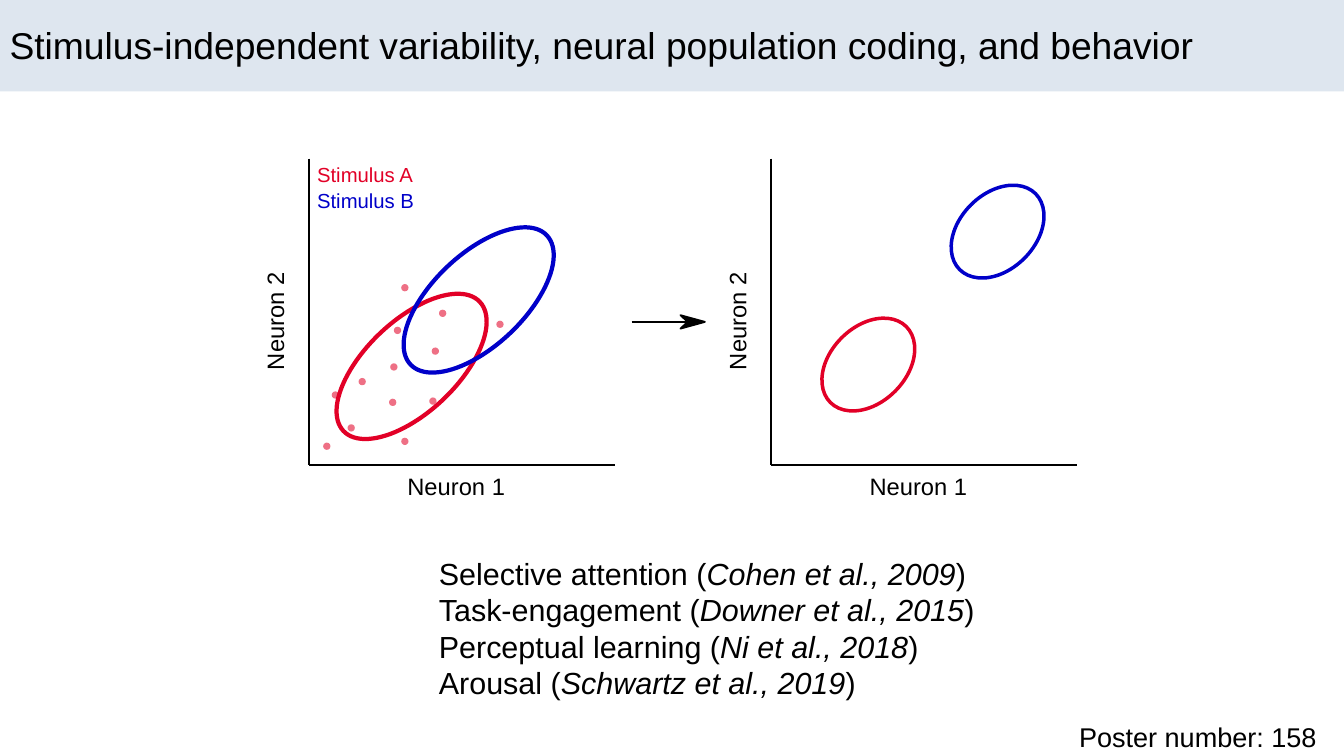
from dataclasses import dataclass

from lxml import etree
from pptx import Presentation
from pptx.dml.color import RGBColor
from pptx.enum.shapes import MSO_CONNECTOR, MSO_SHAPE
from pptx.oxml.ns import qn
from pptx.util import Inches, Pt

RECT, OVAL = MSO_SHAPE.RECTANGLE, MSO_SHAPE.OVAL
STRAIGHT = MSO_CONNECTOR.STRAIGHT


@dataclass(frozen=True)
class Theme:
    font: str = "Arial"
    ink: str = "000000"
    banner: str = "DEE6EF"
    stimulus_a: str = "E20027"
    stimulus_b: str = "0000C9"
    title: int = 22
    body: int = 18
    footer: int = 16
    axis: int = 14
    legend: int = 12


THEME = Theme()
SLIDE_W, SLIDE_H = 11.02, 6.2
AXIS_LENGTH = 2.51
DOT_SIZE = 0.06
DOT_OPACITY = 56

# Top left corners of single responses, measured from the plot's corner
RESPONSES = [
    (0.99, 1.96), (0.70, 1.38), (1.07, 1.24), (0.12, 2.33), (1.54, 1.33),
    (0.67, 1.68), (1.01, 1.55), (0.32, 2.18), (0.76, 2.29), (0.41, 1.80),
    (0.66, 1.97), (0.76, 1.03), (0.19, 1.91),
]
STUDIES = [
    ("Selective attention", "Cohen et al., 2009"),
    ("Task-engagement", "Downer et al., 2015"),
    ("Perceptual learning", "Ni et al., 2018"),
    ("Arousal", "Schwartz et al., 2019"),
]


def rgb(color):
    return RGBColor.from_string(color)


def add_text(slide, box, paragraphs, size, color=THEME.ink, inset=(0, 0), rotation=0):
    """Each paragraph is a list of (text, italic) runs."""
    holder = slide.shapes.add_textbox(*map(Inches, box))
    holder.rotation = rotation
    frame = holder.text_frame
    frame.word_wrap = True
    frame.margin_left = frame.margin_right = Inches(inset[0])
    frame.margin_top = frame.margin_bottom = Inches(inset[1])
    for index, runs in enumerate(paragraphs):
        paragraph = frame.paragraphs[0] if index == 0 else frame.add_paragraph()
        paragraph.font.name = THEME.font
        paragraph.font.size = Pt(size)
        paragraph.font.color.rgb = rgb(color)
        for text, italic in runs:
            run = paragraph.add_run()
            run.text = text
            # Runs carry the style too, so mixed italics stay uniform
            run.font.name = THEME.font
            run.font.size = Pt(size)
            run.font.color.rgb = rgb(color)
            if italic:
                run.font.italic = True


def add_line(slide, start, end, width):
    line = slide.shapes.add_connector(STRAIGHT, *map(Inches, (*start, *end)))
    line.line.color.rgb = rgb(THEME.ink)
    line.line.width = Pt(width)
    etree.SubElement(line.element.spPr, qn("a:effectLst"))


def paint(shape, fill=None, outline=None, width=1):
    shape.shadow.inherit = False
    if fill:
        shape.fill.solid()
        shape.fill.fore_color.rgb = rgb(fill)
    else:
        shape.fill.background()
    if outline:
        shape.line.color.rgb = rgb(outline)
        shape.line.width = Pt(width)
    else:
        shape.line.fill.background()


def add_cloud(slide, center, size, tilt, color, width):
    """Tilted ellipse that outlines the responses to one stimulus."""
    (x, y), (w, h) = center, size
    cloud = slide.shapes.add_shape(OVAL, *map(Inches, (x - w / 2, y - h / 2, w, h)))
    cloud.rotation = tilt
    paint(cloud, outline=color, width=width)


def add_banner(slide, x, y, w, h):
    banner = slide.shapes.add_shape(RECT, *map(Inches, (x, y, w, h)))
    paint(banner, fill=THEME.banner)
    title = "Stimulus-independent variability, neural population coding, and behavior"
    add_text(slide, (x - 0.02, y + 0.13, w, 0.6), [[(title, False)]],
             THEME.title, inset=(0.1, 0.05))


def add_axes(slide, x, y, length):
    corner = (x, y + length)
    add_line(slide, (x, y), corner, 1.19)
    add_line(slide, (x + length, y + length), corner, 1.19)
    add_text(slide, (x + 0.81, y + length + 0.06, 0.9, 0.27),
             [[("Neuron 1", False)]], THEME.axis)
    add_text(slide, (x - 0.71, y + 1.15, 0.9, 0.27),
             [[("Neuron 2", False)]], THEME.axis, rotation=270)


def add_overlapping_plot(slide, x, y, length):
    add_axes(slide, x, y, length)
    stimuli = [("Stimulus A", THEME.stimulus_a, (0.845, 1.705)),
               ("Stimulus B", THEME.stimulus_b, (1.395, 1.16))]
    for row, (name, color, (dx, dy)) in enumerate(stimuli):
        add_cloud(slide, (x + dx, y + dy), (1.54, 0.75), -43.5, color, 2.5)
        add_text(slide, (x + 0.07, y + 0.03 + 0.21 * row, 0.89, 0.23),
                 [[(name, False)]], THEME.legend, color)
    # Single responses to stimulus A
    for dx, dy in RESPONSES:
        dot = slide.shapes.add_shape(
            OVAL, *map(Inches, (x + dx, y + dy, DOT_SIZE, DOT_SIZE)))
        paint(dot, fill=THEME.stimulus_a)
        color = dot.element.spPr.find(qn("a:solidFill"))[0]
        etree.SubElement(color, qn("a:alpha"), val=str(DOT_OPACITY * 1000))


def add_separated_plot(slide, x, y, length):
    add_axes(slide, x, y, length)
    for color, dx, dy in [(THEME.stimulus_a, 0.8, 1.69), (THEME.stimulus_b, 1.86, 0.6)]:
        add_cloud(slide, (x + dx, y + dy), (0.88, 0.62), -45, color, 2.07)


def add_transition_arrow(slide, x, y, length):
    tip = x + length
    add_line(slide, (x, y), (tip, y), 1)
    barb, notch, half = tip - 0.2, tip - 0.14, 0.055
    builder = slide.shapes.build_freeform(Inches(notch), Inches(y))
    outline = [(barb, y + half), (tip, y), (barb, y - half)]
    builder.add_line_segments([(Inches(px), Inches(py)) for px, py in outline], close=True)
    paint(builder.convert_to_shape(), fill=THEME.ink, outline=THEME.ink, width=1.08)


def add_studies(slide, *box):
    lines = [[(f"{topic} (", False), (source, True), (")", False)]
             for topic, source in STUDIES]
    add_text(slide, box, lines, THEME.body, inset=(0.1, 0.05))


def add_poster_number(slide, *box):
    add_text(slide, box, [[("Poster number: 158", False)]], THEME.footer, inset=(0.1, 0.05))


def main():
    deck = Presentation()
    deck.slide_width, deck.slide_height = Inches(SLIDE_W), Inches(SLIDE_H)
    slide = deck.slides.add_slide(deck.slide_layouts[6])
    add_banner(slide, 0, 0, SLIDE_W, 0.75)
    add_studies(slide, 3.5, 4.5, 4.59, 1.22)
    add_overlapping_plot(slide, 2.53, 1.3, AXIS_LENGTH)
    add_transition_arrow(slide, 5.18, 2.64, 0.6)
    add_separated_plot(slide, 6.32, 1.3, AXIS_LENGTH)
    add_poster_number(slide, 8.75, 5.86, 2.25, 0.35)
    deck.save("out.pptx")


if __name__ == "__main__":
    main()
